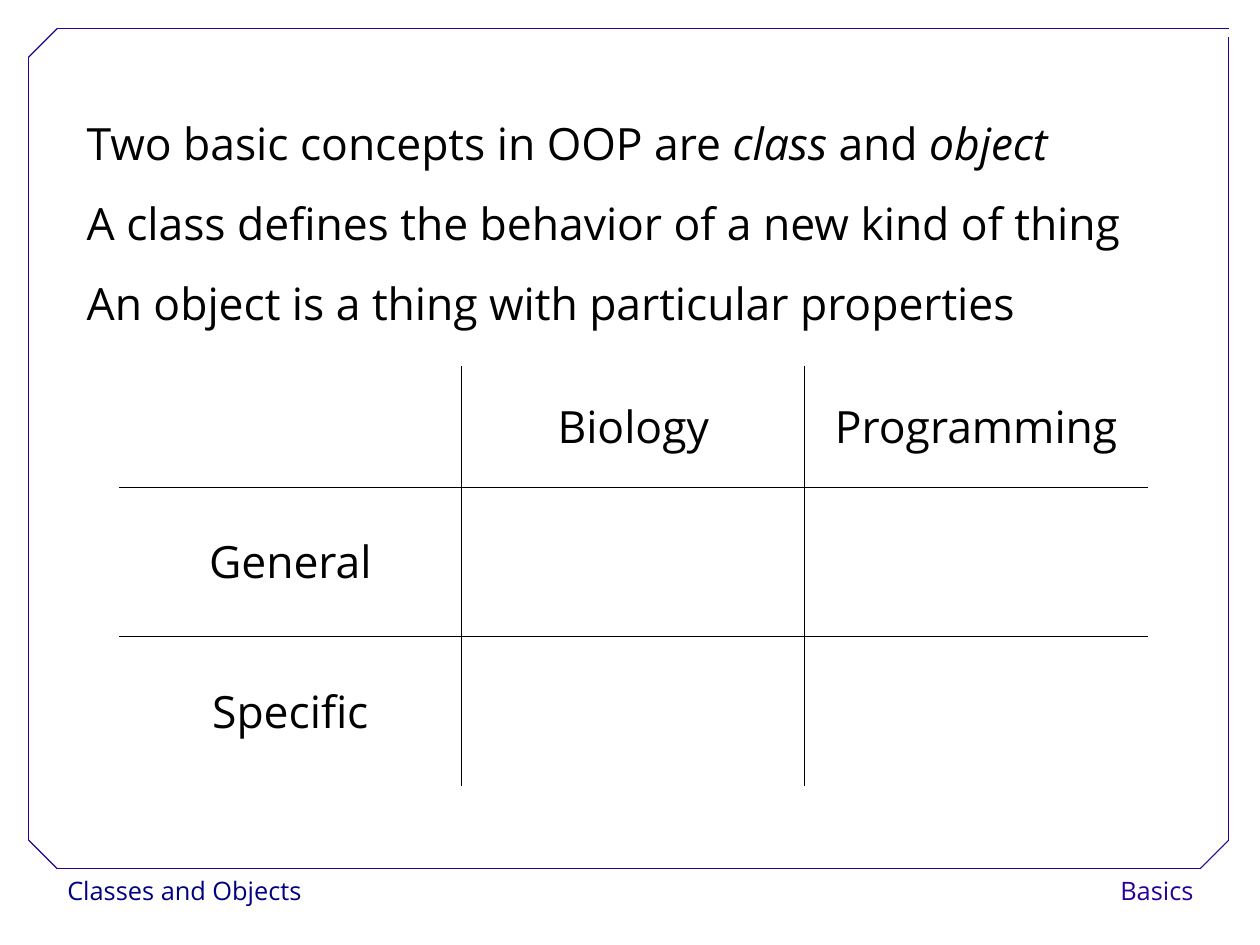
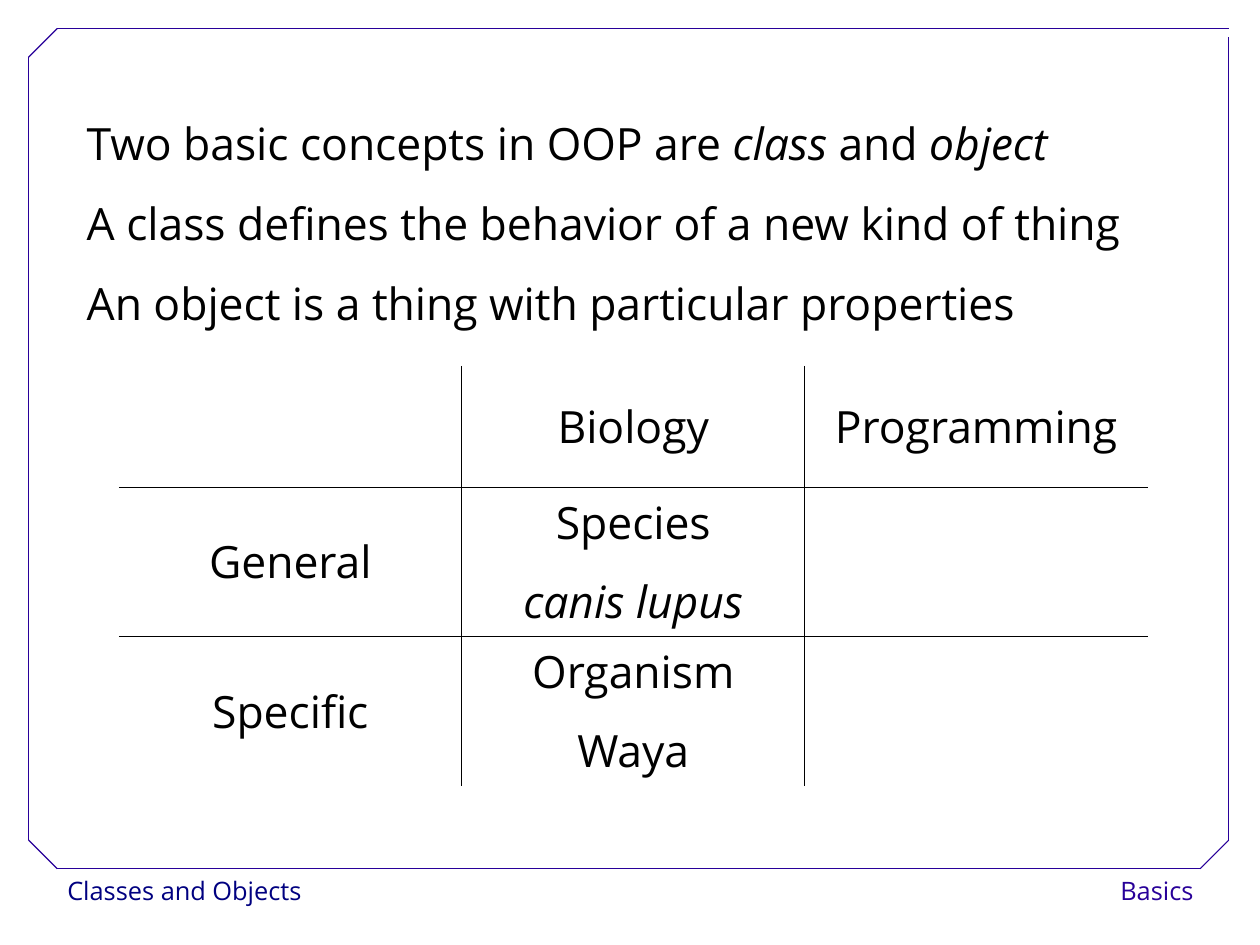
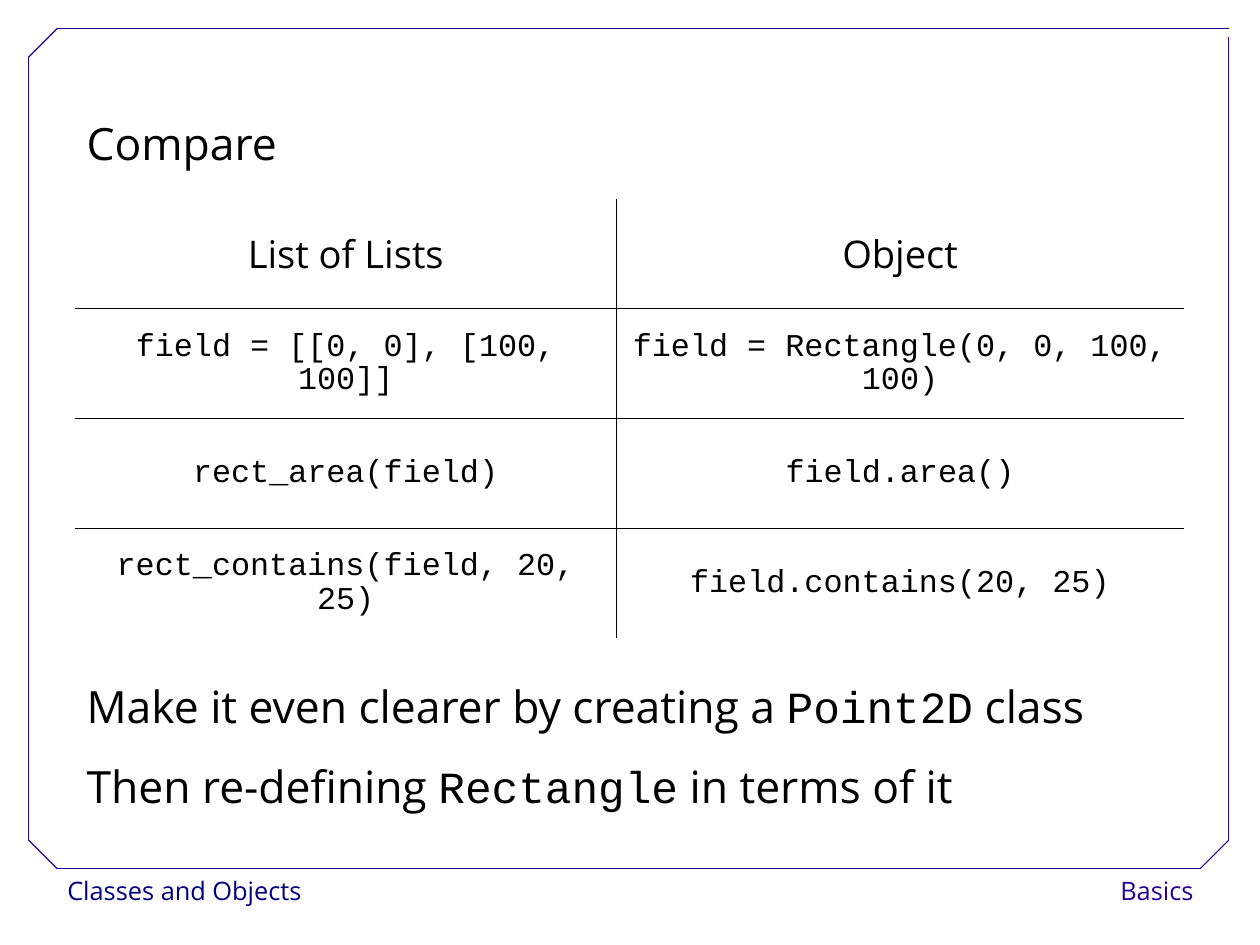
from lxml.etree import SubElement
from pptx import Presentation
from pptx.dml.color import RGBColor
from pptx.enum.shapes import MSO_CONNECTOR
from pptx.enum.text import MSO_ANCHOR, MSO_AUTO_SIZE, PP_ALIGN
from pptx.oxml.ns import qn
from pptx.util import Cm, Inches, Pt

WIDTH, HEIGHT = Cm(28), Cm(21)
BLACK = RGBColor(0x00, 0x00, 0x00)
NAVY = RGBColor(0x00, 0x00, 0x80)
VIOLET = RGBColor(0x28, 0x00, 0x99)
SANS, MONO = "Open Sans", "Courier New"
BODY_SIZE, HEADER_SIZE, CODE_SIZE, FOOTER_SIZE = 28, 24, 20, 16
BODY_LEFT, BODY_WIDTH = 0.66, 9.45
RULE_WIDTH = 0.45

# A paragraph is a list of spans; a span is plain text or (text, style).
CONCEPTS = [
    ["Two basic concepts in OOP are ", ("class", "italic"), " and ", ("object", "italic")],
    ["A class defines the behavior of a new kind of thing"],
    ["An object is a thing with particular properties"],
]
POINT_CLASS = [
    ["Make it even clearer by creating a ", ("Point2D", "code"), " class"],
    ["Then re-defining ", ("Rectangle", "code"), " in terms of it"],
]
SPECIES = [["Species"], [("canis lupus", "italic")]]
ORGANISM = [["Organism"], ["Waya"]]


def analogy_table(species, organism):
    return {
        "at": (1.04, 3.2), "columns": [3, 3, 3], "rows": [1.06, 1.31, 1.31],
        "fonts": [(SANS, BODY_SIZE)] * 3,
        "cells": [
            [[], [["Biology"]], [["Programming"]]],
            [[["General"]], species, []],
            [[["Specific"]], organism, []],
        ],
    }


COMPARISON = {
    "at": (BODY_LEFT, 1.74), "columns": [4.73, 4.97], "rows": [0.96] * 4,
    "fonts": [(SANS, HEADER_SIZE)] + [(MONO, CODE_SIZE)] * 3,
    "cells": [
        [[["List of Lists"]], [["Object"]]],
        [[["field = [[0, 0], [100, 100]]"]], [["field = Rectangle(0, 0, 100, 100)"]]],
        [[["rect_area(field)"]], [["field.area()"]]],
        [[["rect_contains(field, 20, 25)"]], [["field.contains(20, 25)"]]],
    ],
}

# Each page: text blocks as (top, height, paragraphs), then its table.
PAGES = [
    ([(0.73, 2.2, CONCEPTS)], analogy_table([], [])),
    ([(0.73, 2.2, CONCEPTS)], analogy_table(SPECIES, ORGANISM)),
    ([(0.73, 0.8, [["Compare"]]), (5.66, 1.5, POINT_CLASS)], COMPARISON),
]

FOOTERS = [
    ("Classes and Objects", 0.49, 2.35, NAVY, PP_ALIGN.LEFT),
    ("Basics", 9.14, 1.4, VIOLET, PP_ALIGN.RIGHT),
]
FOOTER_TOP, FOOTER_HEIGHT = 7.6, 0.4

# The frame has three cut corners; the top right one stays open.
LEFT, RIGHT, TOP, BOTTOM, CUT, GAP = 0.25, 10.75, 0.25, 7.6, 0.25, 0.07
FRAME = [
    (LEFT + CUT, BOTTOM, RIGHT - CUT, BOTTOM),
    (LEFT, BOTTOM - CUT, LEFT, TOP + CUT),
    (LEFT + CUT, TOP, RIGHT, TOP),
    (RIGHT, BOTTOM - CUT, RIGHT, TOP + GAP),
    (LEFT, TOP + CUT, LEFT + CUT, TOP),
    (RIGHT - CUT, BOTTOM, RIGHT, BOTTOM - CUT),
    (LEFT, BOTTOM - CUT, LEFT + CUT, BOTTOM),
]


def write(text_frame, paragraphs, font, size, spacing, color=BLACK,
          align=PP_ALIGN.LEFT, after=0):
    for index, spans in enumerate(paragraphs):
        para = text_frame.add_paragraph() if index else text_frame.paragraphs[0]
        para.alignment = align
        para.line_spacing = spacing
        para.space_after = Pt(after)
        para.font.name = font
        para.font.size = Pt(size)
        para.font.color.rgb = color
        for span in spans:
            text, style = (span, "plain") if isinstance(span, str) else span
            run = para.add_run()
            run.text = text
            if style == "italic":
                run.font.italic = True
            elif style == "code":
                run.font.name = MONO


def add_frame_and_footers(page):
    for ends in FRAME:
        edge = page.shapes.add_connector(MSO_CONNECTOR.STRAIGHT, *map(Inches, ends))
        edge.line.color.rgb = VIOLET
        edge.line.width = Pt(0.75)
        SubElement(edge._element.spPr, qn("a:effectLst"))
    for text, left, width, color, align in FOOTERS:
        box = page.shapes.add_textbox(Inches(left), Inches(FOOTER_TOP),
                                      Inches(width), Inches(FOOTER_HEIGHT))
        box.text_frame.word_wrap = True
        write(box.text_frame, [[text]], SANS, FOOTER_SIZE, 1.02, color, align)


def add_body(page, top, height, paragraphs):
    box = page.shapes.add_textbox(Inches(BODY_LEFT), Inches(top),
                                  Inches(BODY_WIDTH), Inches(height))
    box.text_frame.word_wrap = True
    box.text_frame.auto_size = MSO_AUTO_SIZE.SHAPE_TO_FIT_TEXT
    write(box.text_frame, paragraphs, SANS, BODY_SIZE, 1.5)


def set_borders(cell, ruled):
    """Rule the sides marked true in ruled and clear the others."""
    properties = cell._tc.get_or_add_tcPr()
    for side in ("lnL", "lnR", "lnT", "lnB"):
        border = SubElement(properties, qn(f"a:{side}"), w=str(Pt(RULE_WIDTH)))
        if ruled[side]:
            fill = SubElement(border, qn("a:solidFill"))
            SubElement(fill, qn("a:srgbClr"), val=str(BLACK))
        else:
            SubElement(border, qn("a:noFill"))


def add_ruled_table(page, content):
    columns, rows = content["columns"], content["rows"]
    table = page.shapes.add_table(
        len(rows), len(columns), *map(Inches, content["at"]),
        Inches(sum(columns)), Inches(sum(rows))).table
    table.first_row = table.horz_banding = False
    for column, width in zip(table.columns, columns):
        column.width = Inches(width)
    for r, (height, (font, size)) in enumerate(zip(rows, content["fonts"])):
        table.rows[r].height = Inches(height)
        for c, paragraphs in enumerate(content["cells"][r]):
            cell = table.cell(r, c)
            set_borders(cell, {"lnL": c > 0, "lnR": c < len(columns) - 1,
                               "lnT": r > 0, "lnB": r < len(rows) - 1})
            cell.fill.background()
            cell.vertical_anchor = MSO_ANCHOR.MIDDLE
            write(cell.text_frame, paragraphs, font, size, 0.93,
                  align=PP_ALIGN.CENTER, after=14.3)


def main():
    deck = Presentation()
    deck.slide_width, deck.slide_height = WIDTH, HEIGHT
    for blocks, table in PAGES:
        page = deck.slides.add_slide(deck.slide_layouts[6])
        add_frame_and_footers(page)
        add_ruled_table(page, table)
        for block in blocks:
            add_body(page, *block)
    deck.save("out.pptx")


if __name__ == "__main__":
    main()
